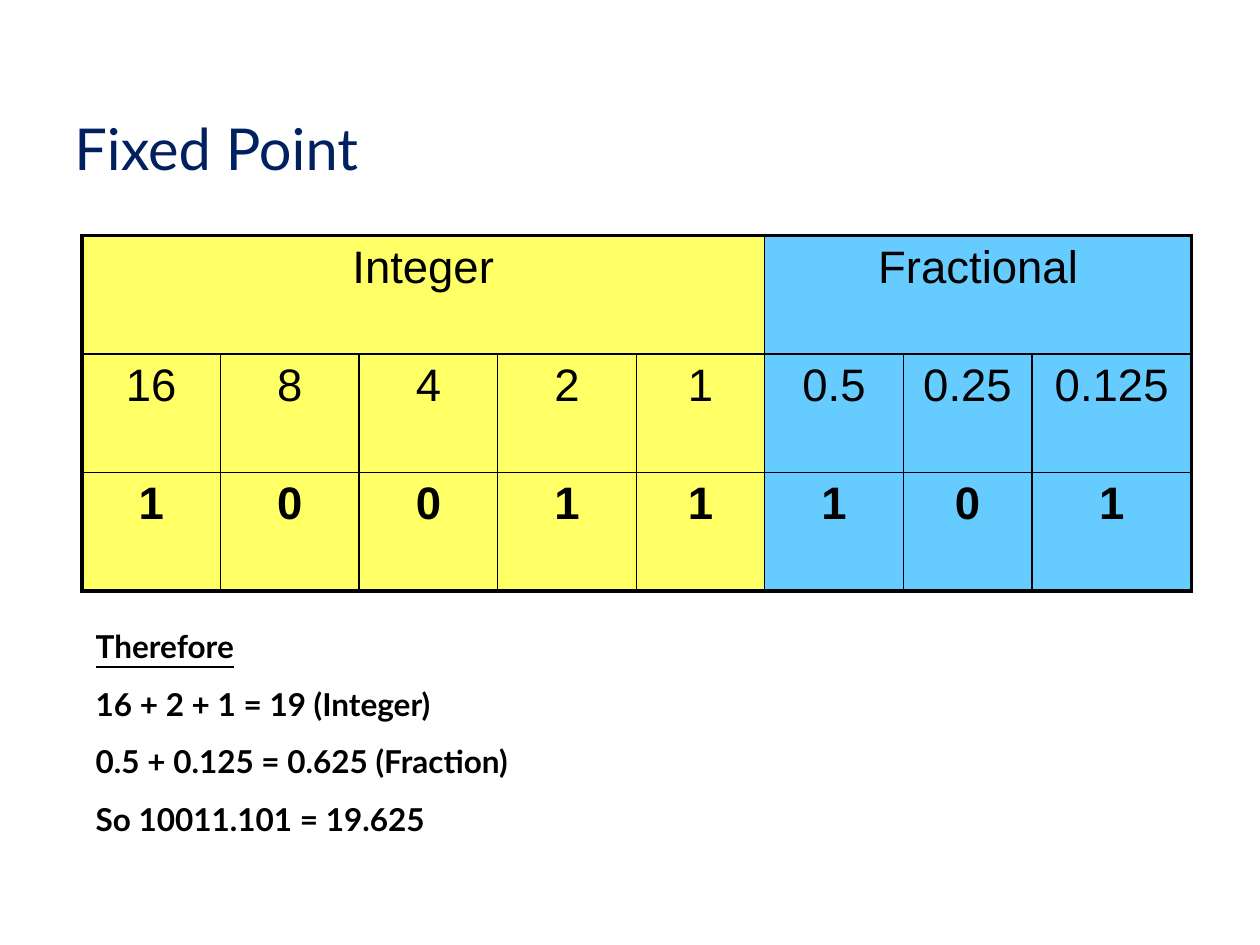
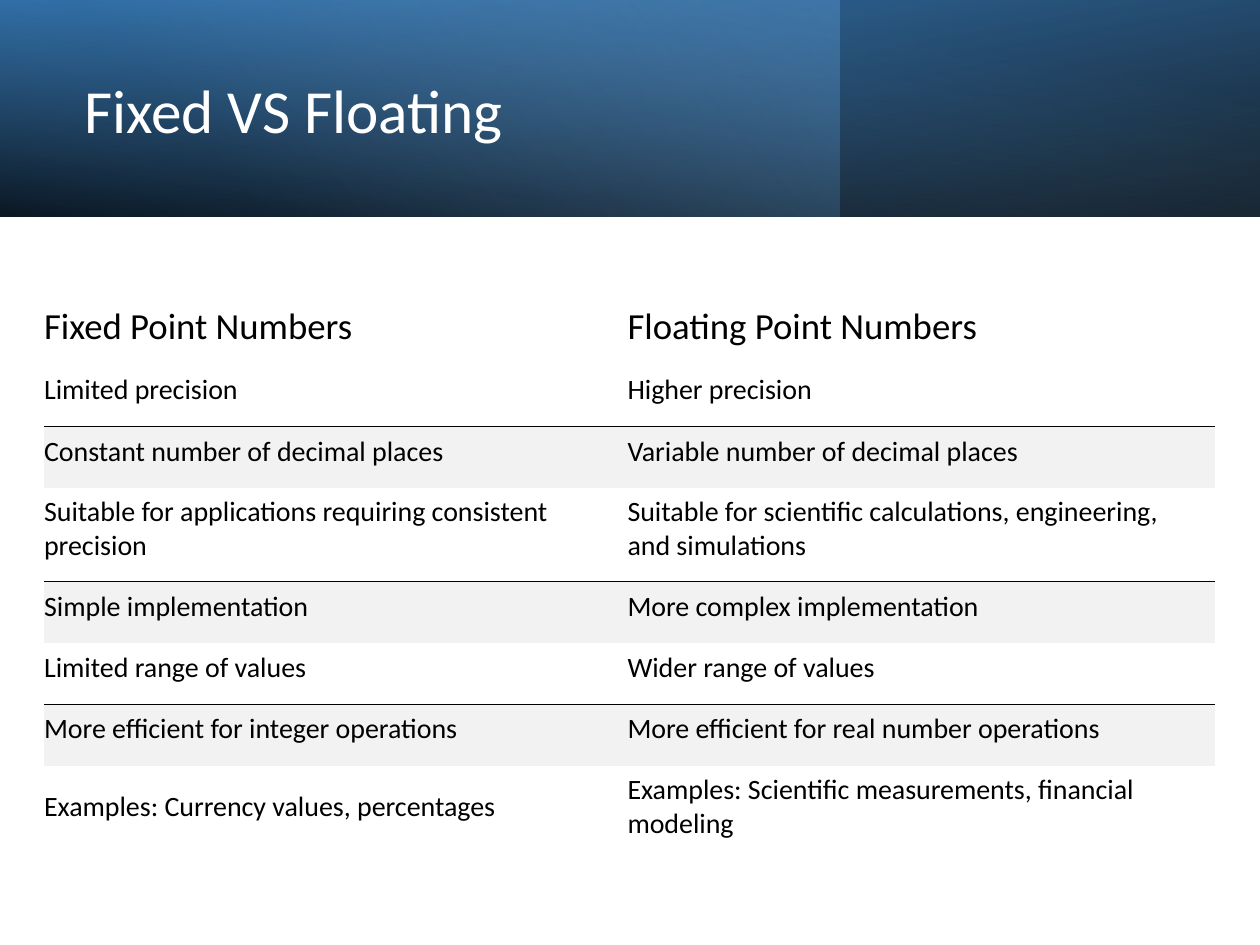
import pptx
import pptx.util
import pptx.dml.color
import pptx.enum.shapes
import pptx.enum.text
import pptx.oxml.ns
from lxml import etree

Pt = pptx.util.Pt
ALIGN = pptx.enum.text.PP_ALIGN
ANCHOR = pptx.enum.text.MSO_ANCHOR
qn = pptx.oxml.ns.qn

BLACK, WHITE, NAVY = "000000", "FFFFFF", "002060"
YELLOW, SKY, PALE_GREY = "FFFF66", "66CCFF", "F2F2F2"
DEEP_BLUE, MID_BLUE, LIGHT_BLUE = "2E75B6", "5B9BD5", "9DC3E6"

# Name, first column, last column, fill
NUMBER_PARTS = [("Integer", 0, 4, YELLOW), ("Fractional", 5, 7, SKY)]
PLACE_VALUES = ["16", "8", "4", "2", "1", "0.5", "0.25", "0.125"]
BITS = list("10011101")
PLACE_WIDTHS = [79.2, 79.2, 79.2, 79.2, 73.4, 79.2, 73.4, 91.4]

CONCLUSION = [
    "Therefore",
    "16 + 2 + 1 = 19 (Integer)",
    "0.5 + 0.125 = 0.625 (Fraction)",
    "So 10011.101 = 19.625",
]

COMPARISON = [
    ("Fixed Point Numbers", "Floating Point Numbers"),
    ("Limited precision", "Higher precision"),
    ("Constant number of decimal places", "Variable number of decimal places"),
    ("Suitable for applications requiring consistent precision",
     "Suitable for scientific calculations, engineering, and simulations"),
    ("Simple implementation", "More complex implementation"),
    ("Limited range of values", "Wider range of values"),
    ("More efficient for integer operations",
     "More efficient for real number operations"),
    ("Examples: Currency values, percentages",
     "Examples: Scientific measurements, financial modeling"),
]
COMPARISON_HEIGHTS = [40.3, 35, 35, 53.8, 35, 35, 35, 53.8]


def color(hex_code):
    return pptx.dml.color.RGBColor.from_string(hex_code)


def write(paragraph, text, size, font, hex_code, bold=False, underline=False):
    run = paragraph.add_run()
    run.text = text
    run.font.size = Pt(size)
    run.font.name = font
    run.font.color.rgb = color(hex_code)
    run.font.bold = bold
    run.font.underline = underline


def set_insets(holder, left, top, right, bottom):
    holder.margin_left, holder.margin_top = Pt(left), Pt(top)
    holder.margin_right, holder.margin_bottom = Pt(right), Pt(bottom)


def add_frame(slide, box, insets, anchor=ANCHOR.TOP):
    frame = slide.shapes.add_textbox(*map(Pt, box)).text_frame
    frame.word_wrap = True
    frame.vertical_anchor = anchor
    set_insets(frame, *insets)
    return frame


def add_title(slide, box, text, size, font, hex_code, insets, line_spacing=1.0):
    frame = add_frame(slide, box, insets, ANCHOR.MIDDLE)
    frame.paragraphs[0].line_spacing = line_spacing
    write(frame.paragraphs[0], text, size, font, hex_code)


def add_grid(slide, left, top, widths, heights):
    """Add an empty table without banding and return it."""
    grid = slide.shapes.add_table(
        len(heights), len(widths), Pt(left), Pt(top),
        Pt(sum(widths)), Pt(sum(heights))).table
    grid.first_row = grid.horz_banding = False
    for column, width in zip(grid.columns, widths):
        column.width = Pt(width)
    for row, height in zip(grid.rows, heights):
        row.height = Pt(height)
    return grid


def finish_cell(cell, fill, borders, insets, anchor):
    """Borders are widths in points for left, right, top, bottom; 0 is none."""
    properties = cell._tc.get_or_add_tcPr()
    for side, width in zip("LRTB", borders):
        line = etree.SubElement(properties, qn(f"a:ln{side}"), w=str(Pt(width)))
        if width:
            paint = etree.SubElement(line, qn("a:solidFill"))
            etree.SubElement(paint, qn("a:srgbClr"), val=BLACK)
        else:
            etree.SubElement(line, qn("a:noFill"))
    cell.fill.solid()
    cell.fill.fore_color.rgb = color(fill)
    set_insets(cell, *insets)
    cell.vertical_anchor = anchor


def add_place_value_table(slide, left, top):
    inner, outer = 1, 2.25
    grid = add_grid(slide, left, top, PLACE_WIDTHS, [67.7] * 3)
    last_row, last_column = 2, len(PLACE_WIDTHS) - 1
    for name, first, last, fill in NUMBER_PARTS:
        for r, texts in enumerate([None, PLACE_VALUES, BITS]):
            for c in range(first, last + 1):
                start, end = (first, last) if r == 0 else (c, c)
                at_edge = (start == 0, end == last_column, r == 0, r == last_row)
                borders = [outer if edge else inner for edge in at_edge]
                cell = grid.cell(r, c)
                finish_cell(cell, fill, borders, (0, 3.6, 0, 0), ANCHOR.TOP)
                if r == 0 and c != first:
                    continue
                paragraph = cell.text_frame.paragraphs[0]
                paragraph.alignment = ALIGN.CENTER
                write(paragraph, texts[c] if texts else name, 26, "Arial",
                      BLACK, bold=r == last_row)
        grid.cell(0, first).merge(grid.cell(0, last))


def add_conclusion(slide, box):
    frame = add_frame(slide, box, (0.7, 12.2, 0, 0))
    for i, text in enumerate(CONCLUSION):
        paragraph = frame.add_paragraph() if i else frame.paragraphs[0]
        if i:
            paragraph.space_before = Pt(11.2)
        write(paragraph, text, 18, "Lato", BLACK, bold=True, underline=i == 0)


def add_gradient_layer(slide, box, stops, angle, rotation=0, flipped=False):
    """Stops are (position, colour, opacity) in percent; angle is clockwise."""
    layer = slide.shapes.add_shape(
        pptx.enum.shapes.MSO_SHAPE.RECTANGLE, *map(Pt, box))
    layer.shadow.inherit = False
    layer.line.fill.background()
    layer.rotation = rotation
    if flipped:
        layer._element.spPr.find(qn("a:xfrm")).set("flipH", "1")
    layer.fill.gradient()
    layer.fill.gradient_angle = 360 - angle
    for stop, (position, hex_code, _) in zip(layer.fill.gradient_stops, stops):
        stop.position = position / 100
        stop.color.rgb = color(hex_code)
    paints = layer._element.spPr.iter(qn("a:srgbClr"))
    for paint, (_, _, opacity) in zip(list(paints), stops):
        etree.SubElement(paint, qn("a:alpha"), val=str(opacity * 1000))


def add_header_band(slide, width, height):
    full, left_part = (0, 0, width, height), (0, 0, width * 2 / 3, height)
    add_gradient_layer(slide, full, [(0, BLACK, 96), (100, DEEP_BLUE, 100)],
                       100, rotation=180, flipped=True)
    add_gradient_layer(slide, left_part,
                       [(0, MID_BLUE, 41), (74, LIGHT_BLUE, 0)], 140)
    add_gradient_layer(slide, full, [(0, BLACK, 63), (78, MID_BLUE, 15)],
                       260, flipped=True)


def add_comparison_table(slide, left, top):
    rule = 0.75
    grid = add_grid(slide, left, top, [333.4, 335.5], COMPARISON_HEIGHTS)
    last_row = len(COMPARISON) - 1
    for r, texts in enumerate(COMPARISON):
        heading = r == 0
        shaded = r % 2 == 0 and not heading
        above = rule if shaded else 0
        below = rule if r % 2 and r != last_row else 0
        for c, text in enumerate(texts):
            cell = grid.cell(r, c)
            finish_cell(cell, PALE_GREY if shaded else WHITE,
                        (0, 0, above, below), (0, 2.9, 9.4, 9.4),
                        ANCHOR.BOTTOM if heading else ANCHOR.MIDDLE)
            write(cell.text_frame.paragraphs[0], text, 21 if heading else 16,
                  "Calibri", BLACK)


def build_fixed_point(slide):
    add_title(slide, (41.8, 63.4, 212.4, 41), "Fixed Point", 33, "Lato", NAVY,
              (0.7, 0.7, 0, 0))
    add_place_value_table(slide, 46.8, 134.6)
    add_conclusion(slide, (54, 346.3, 260, 133.2))


def build_fixed_vs_floating(slide):
    add_header_band(slide, 720, 123.8)
    add_title(slide, (41, 19.4, 416.9, 91.4), "Fixed VS Floating", 35,
              "Calibri", WHITE, (7.2, 3.6, 7.2, 3.6), 0.9)
    add_comparison_table(slide, 25.2, 168.5)


def main():
    deck = pptx.Presentation()
    deck.slide_width, deck.slide_height = Pt(720), Pt(540)
    blank = deck.slide_layouts[6]
    for build in (build_fixed_point, build_fixed_vs_floating):
        build(deck.slides.add_slide(blank))
    deck.save("out.pptx")


if __name__ == "__main__":
    main()
